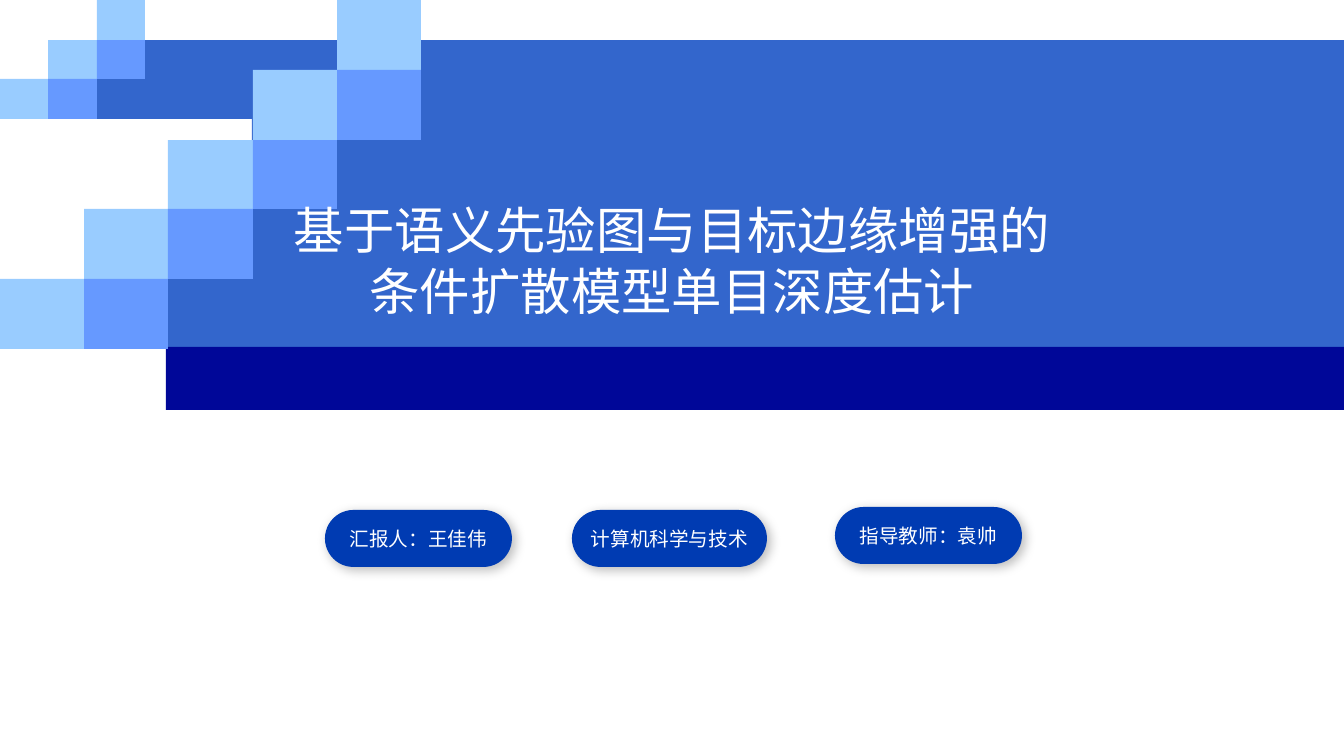
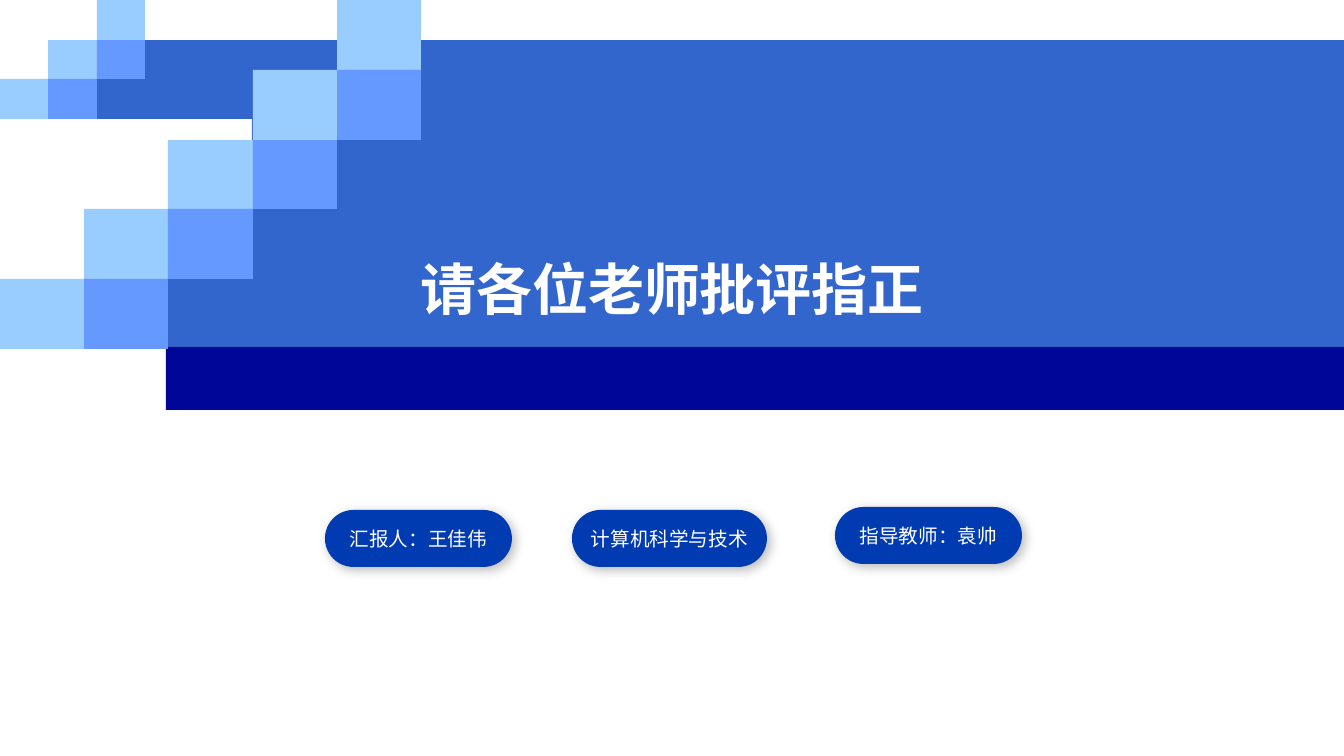
import dataclasses

import lxml.etree
import pptx
import pptx.dml.color
import pptx.enum.shapes
import pptx.enum.text
import pptx.oxml.ns
import pptx.util

SCALE = 914400 / 100.8
SHAPES = pptx.enum.shapes.MSO_SHAPE


@dataclasses.dataclass(frozen=True)
class Theme:
    panel: str = "3366CC"
    light: str = "99CCFF"
    middle: str = "6699FF"
    band: str = "000798"
    pill: str = "003BB2"
    text: str = "FFFFFF"
    shadow: str = "000000"
    plain_font: str = "DejaVu Sans"
    bold_font: str = "Noto Sans CJK SC"
    title_size: int = 36
    closing_size: int = 40
    pill_size: int = 14


THEME = Theme()
SLIDE_SIZE = (1344, 756)
TOP_BAND = (97, 40, 1247, 79)
SMALL_STAIRS = (0, 0, 145, 119)
PANEL = (252, 70, 1092, 279)
PANEL_FOOT = (168, 252, 134, 101)
DARK_BAND = (166, 347, 1178, 63)
LARGE_STAIRS = (0, 0, 421, 349)
TITLE_BOX = (154, 204, 1036, 112)
CLOSING_BOX = (386, 249, 572, 78)
PILLS = (
    ("汇报人：王佳伟", (325, 510, 187, 57)),
    ("计算机科学与技术", (572, 510, 195, 57)),
    ("指导教师：袁帅", (835, 507, 187, 57)),
)


def px(length):
    return pptx.util.Emu(round(length * SCALE))


def add_block(page, box, color, preset=SHAPES.RECTANGLE):
    block = page.shapes.add_shape(preset, *map(px, box))
    block.shadow.inherit = False
    block.fill.solid()
    block.fill.fore_color.rgb = pptx.dml.color.RGBColor.from_string(color)
    block.line.fill.background()
    return block


def write_text(shape, text, size, font_name, bold=False):
    frame = shape.text_frame
    frame.word_wrap = True
    frame.vertical_anchor = pptx.enum.text.MSO_ANCHOR.MIDDLE
    para = frame.paragraphs[0]
    para.text = text
    para.alignment = pptx.enum.text.PP_ALIGN.CENTER
    para.font.size = pptx.util.Pt(size)
    para.font.bold = bold
    para.font.color.rgb = pptx.dml.color.RGBColor.from_string(THEME.text)
    para.font.name = font_name
    defaults = para._p.find(".//" + pptx.oxml.ns.qn("a:defRPr"))
    lxml.etree.SubElement(defaults, pptx.oxml.ns.qn("a:ea"), typeface=font_name)


def add_heading(page, box, text, size, font_name, bold=False):
    heading = page.shapes.add_textbox(*map(px, box))
    write_text(heading, text, size, font_name, bold)


def add_stairs(page, box, steps):
    left, top, width, height = box
    columns = [left + round(width * step / steps) for step in range(steps + 1)]
    rows = [top + round(height * step / steps) for step in range(steps + 1)]
    for column in range(steps):
        for offset, color in ((1, THEME.light), (0, THEME.middle)):
            row = steps - column - offset
            if row < steps:
                cell = (
                    columns[column],
                    rows[row],
                    columns[column + 1] - columns[column],
                    rows[row + 1] - rows[row],
                )
                add_block(page, cell, color)


def add_backdrop(page):
    add_block(page, TOP_BAND, THEME.panel)
    add_stairs(page, SMALL_STAIRS, 3)
    add_block(page, PANEL, THEME.panel)
    add_block(page, PANEL_FOOT, THEME.panel)
    add_block(page, DARK_BAND, THEME.band)
    add_stairs(page, LARGE_STAIRS, 5)


def add_soft_shadow(shape):
    qn = pptx.oxml.ns.qn
    effects = shape._element.spPr.find(qn("a:effectLst"))
    shadow = lxml.etree.SubElement(
        effects,
        qn("a:outerShdw"),
        blurRad=str(pptx.util.Pt(8)),
        dist=str(pptx.util.Pt(3)),
        dir=str(45 * 60000),
        algn="tl",
        rotWithShape="0",
    )
    color = lxml.etree.SubElement(shadow, qn("a:srgbClr"), val=THEME.shadow)
    lxml.etree.SubElement(color, qn("a:alpha"), val="25000")


def add_pill(page, box, text):
    pill = add_block(page, box, THEME.pill, SHAPES.ROUNDED_RECTANGLE)
    pill.adjustments[0] = 0.5
    add_soft_shadow(pill)
    pill.text_frame.margin_left = pill.text_frame.margin_right = 0
    write_text(pill, text, THEME.pill_size, THEME.plain_font)


def add_page(deck, heading_box, text, size, font_name, bold=False):
    page = deck.slides.add_slide(deck.slide_layouts[6])
    add_backdrop(page)
    add_heading(page, heading_box, text, size, font_name, bold)
    for label, box in PILLS:
        add_pill(page, box, label)


def main():
    deck = pptx.Presentation()
    deck.slide_width, deck.slide_height = map(px, SLIDE_SIZE)
    add_page(
        deck,
        TITLE_BOX,
        "基于语义先验图与目标边缘增强的\v条件扩散模型单目深度估计",
        THEME.title_size,
        THEME.plain_font,
    )
    add_page(
        deck,
        CLOSING_BOX,
        "请各位老师批评指正",
        THEME.closing_size,
        THEME.bold_font,
        bold=True,
    )
    deck.save("out.pptx")


if __name__ == "__main__":
    main()
